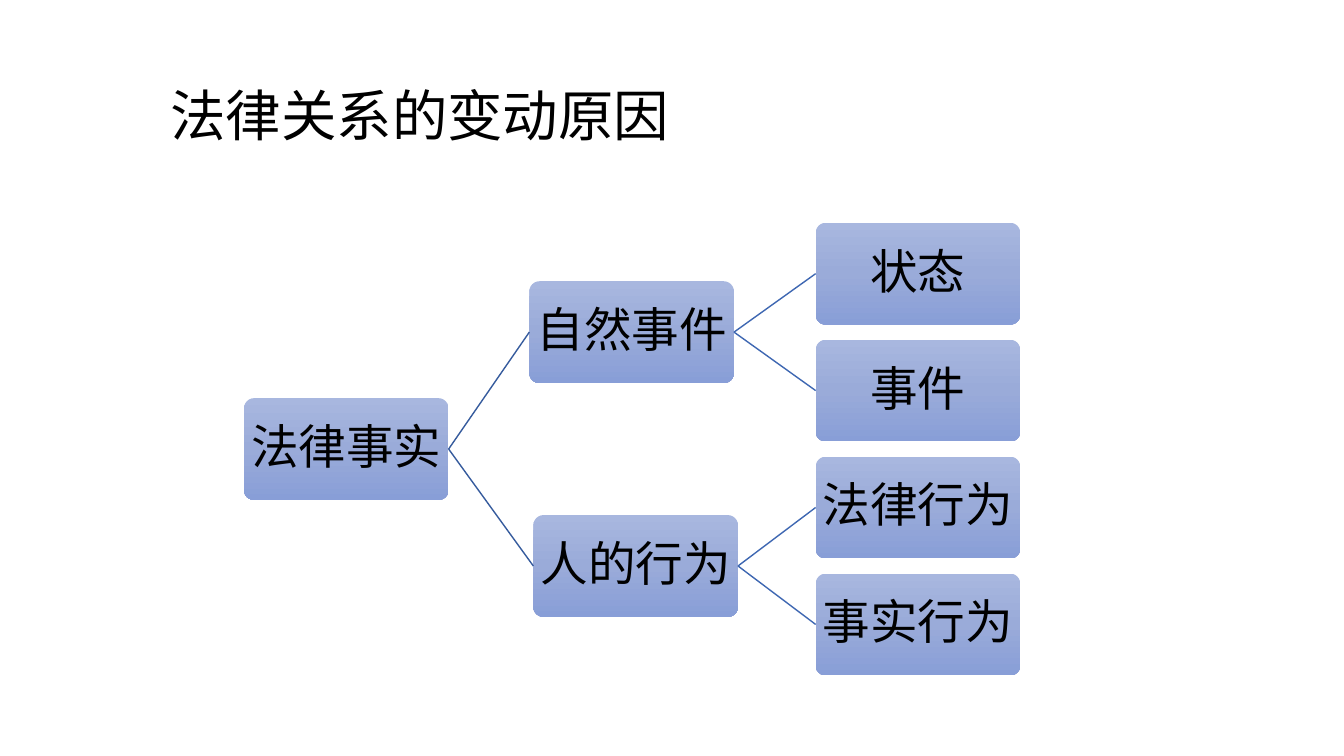
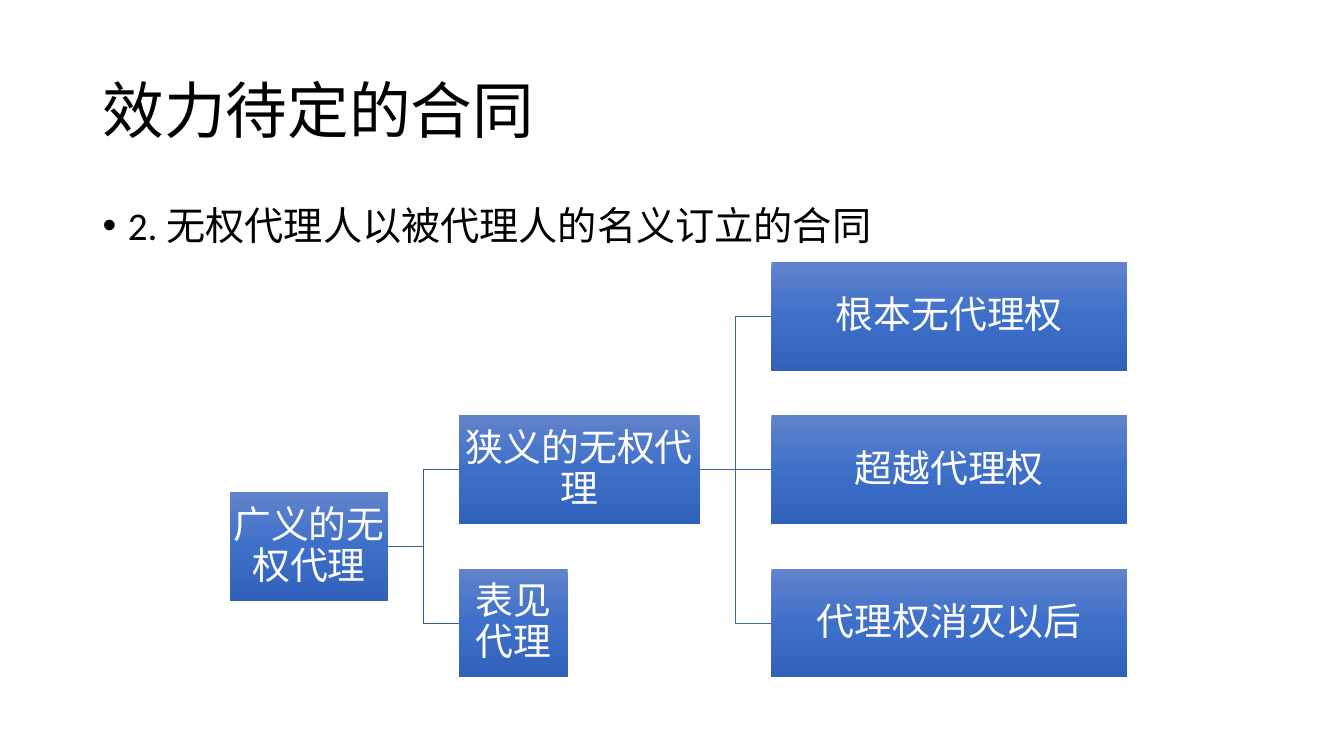
"""Builds two slides that show legal concepts as left-to-right trees."""
from copy import deepcopy

from lxml import etree
from pptx import Presentation
from pptx.dml.color import RGBColor
from pptx.enum.shapes import MSO_CONNECTOR, MSO_SHAPE
from pptx.enum.text import MSO_ANCHOR, PP_ALIGN
from pptx.oxml.ns import qn
from pptx.util import Inches, Pt

RECTANGLE, ROUNDED = MSO_SHAPE.RECTANGLE, MSO_SHAPE.ROUNDED_RECTANGLE
STRAIGHT, ELBOW = MSO_CONNECTOR.STRAIGHT, MSO_CONNECTOR.ELBOW
TOP, MIDDLE = MSO_ANCHOR.TOP, MSO_ANCHOR.MIDDLE
LEFT, CENTER = PP_ALIGN.LEFT, PP_ALIGN.CENTER
LEFT_SITE, RIGHT_SITE = 1, 3

FONT = "Calibri"
BLACK = RGBColor(0x00, 0x00, 0x00)
WHITE = RGBColor(0xFF, 0xFF, 0xFF)
PALE_BLUES = [RGBColor(0xA8, 0xB7, 0xDF), RGBColor(0x9A, 0xAB, 0xD9), RGBColor(0x88, 0x9E, 0xD7)]
STRONG_BLUES = [RGBColor(0x61, 0x83, 0xCB), RGBColor(0x3E, 0x70, 0xCA), RGBColor(0x30, 0x62, 0xBB)]
ROOT_LINE = RGBColor(0x36, 0x5B, 0x9D)
BRANCH_LINE = RGBColor(0x3E, 0x67, 0xB2)


def write_text(shape, text, size, color=BLACK, align=LEFT, anchor=MIDDLE, inset=None, bullet=None):
    frame = shape.text_frame
    frame.word_wrap = True
    frame.vertical_anchor = anchor
    if inset is not None:
        frame.margin_left = frame.margin_right = Inches(inset)
        frame.margin_top = frame.margin_bottom = Inches(inset)
    paragraph = frame.paragraphs[0]
    paragraph.alignment = align
    paragraph.line_spacing = 0.9
    if bullet:
        properties = paragraph._p.get_or_add_pPr()
        properties.set("marL", str(Inches(0.25)))
        properties.set("indent", str(-Inches(0.25)))
        etree.SubElement(properties, qn("a:buFont")).set("typeface", "Arial")
        etree.SubElement(properties, qn("a:buChar")).set("char", bullet)
    run = paragraph.add_run()
    run.text = text
    run.font.name = FONT
    run.font.size = Pt(size)
    run.font.color.rgb = color


def fill_gradient(shape, colors):
    shape.fill.gradient()
    shape.fill.gradient_angle = 270
    stop_list = shape._element.spPr.find(".//" + qn("a:gsLst"))
    stop_list.insert(1, deepcopy(stop_list[0]))
    for stop, position, color in zip(shape.fill.gradient_stops, (0, 0.5, 1), colors):
        stop.position = position
        stop.color.rgb = color


SLIDES = [
    {
        "title": "法律关系的变动原因", "title_box": (1.59, 0.88, 10.5, 0.59), "title_size": 39.6,
        "body": None,
        "outline": ROUNDED, "colors": PALE_BLUES, "text_color": BLACK, "text_size": 34,
        "first_top": 2.21, "row_step": 1.16, "height": 1.01, "link": STRAIGHT, "link_width": 1,
        "nodes": [
            ("法律事实", None, 2.42, 1.5, 2.03),
            ("自然事件", "法律事实", 5.25, 0.5, 2.03),
            ("人的行为", "法律事实", 5.29, 2.5, 2.03),
            ("状态", "自然事件", 8.09, 0, 2.03),
            ("事件", "自然事件", 8.09, 1, 2.03),
            ("法律行为", "人的行为", 8.09, 2, 2.03),
            ("事实行为", "人的行为", 8.09, 3, 2.03),
        ],
    },
    {
        "title": "效力待定的合同", "title_box": (0.92, 0.4, 11.5, 1.45), "title_size": 44,
        "body": "2. 无权代理人以被代理人的名义订立的合同",
        "outline": RECTANGLE, "colors": STRONG_BLUES, "text_color": WHITE, "text_size": 27,
        "first_top": 2.6, "row_step": 1.52, "height": 1.08, "link": ELBOW, "link_width": 0.5,
        "nodes": [
            ("广义的无权代理", None, 2.28, 1.5, 1.57),
            ("狭义的无权代理", "广义的无权代理", 4.55, 1, 2.39),
            ("表见代理", "广义的无权代理", 4.55, 2, 1.08),
            ("根本无代理权", "狭义的无权代理", 7.65, 0, 3.53),
            ("超越代理权", "狭义的无权代理", 7.65, 1, 3.53),
            ("代理权消灭以后", "狭义的无权代理", 7.65, 2, 3.53),
        ],
    },
]

presentation = Presentation()
presentation.slide_width = Inches(13.33)
presentation.slide_height = Inches(7.5)

for content in SLIDES:
    slide = presentation.slides.add_slide(presentation.slide_layouts[6])
    title = slide.shapes.add_textbox(*map(Inches, content["title_box"]))
    write_text(title, content["title"], content["title_size"])
    if content["body"]:
        body = slide.shapes.add_textbox(Inches(0.92), Inches(2), Inches(11.5), Inches(4.76))
        write_text(body, content["body"], 28, anchor=TOP, bullet="•")

    boxes = {}
    root_name = content["nodes"][0][0]
    for name, parent_name, left, row, width in content["nodes"]:
        top = content["first_top"] + row * content["row_step"]
        box = slide.shapes.add_shape(
            content["outline"], Inches(left), Inches(top), Inches(width), Inches(content["height"]))
        if content["outline"] == ROUNDED:
            box.adjustments[0] = 0.1
        box.shadow.inherit = False
        box.line.fill.background()
        fill_gradient(box, content["colors"])
        write_text(box, name, content["text_size"], color=content["text_color"], align=CENTER, inset=0.02)
        boxes[name] = box

        if parent_name:
            parent = boxes[parent_name]
            kind = STRAIGHT if parent.top == box.top else content["link"]
            connector = slide.shapes.add_connector(
                kind, parent.left + parent.width, parent.top + parent.height // 2,
                box.left, box.top + box.height // 2)
            connector.begin_connect(parent, RIGHT_SITE)
            connector.end_connect(box, LEFT_SITE)
            connector.line.color.rgb = ROOT_LINE if parent_name == root_name else BRANCH_LINE
            connector.line.width = Pt(content["link_width"])
            etree.SubElement(connector._element.spPr, qn("a:effectLst"))

presentation.save("out.pptx")
